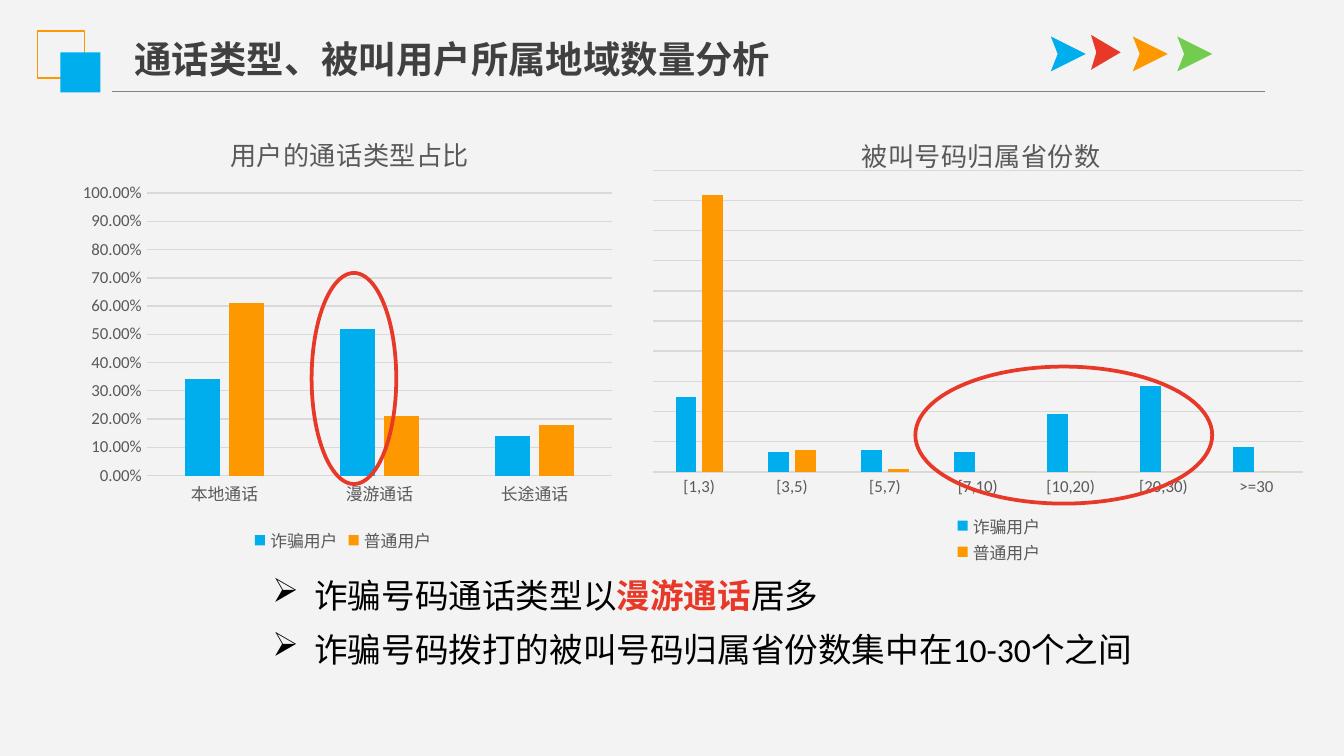
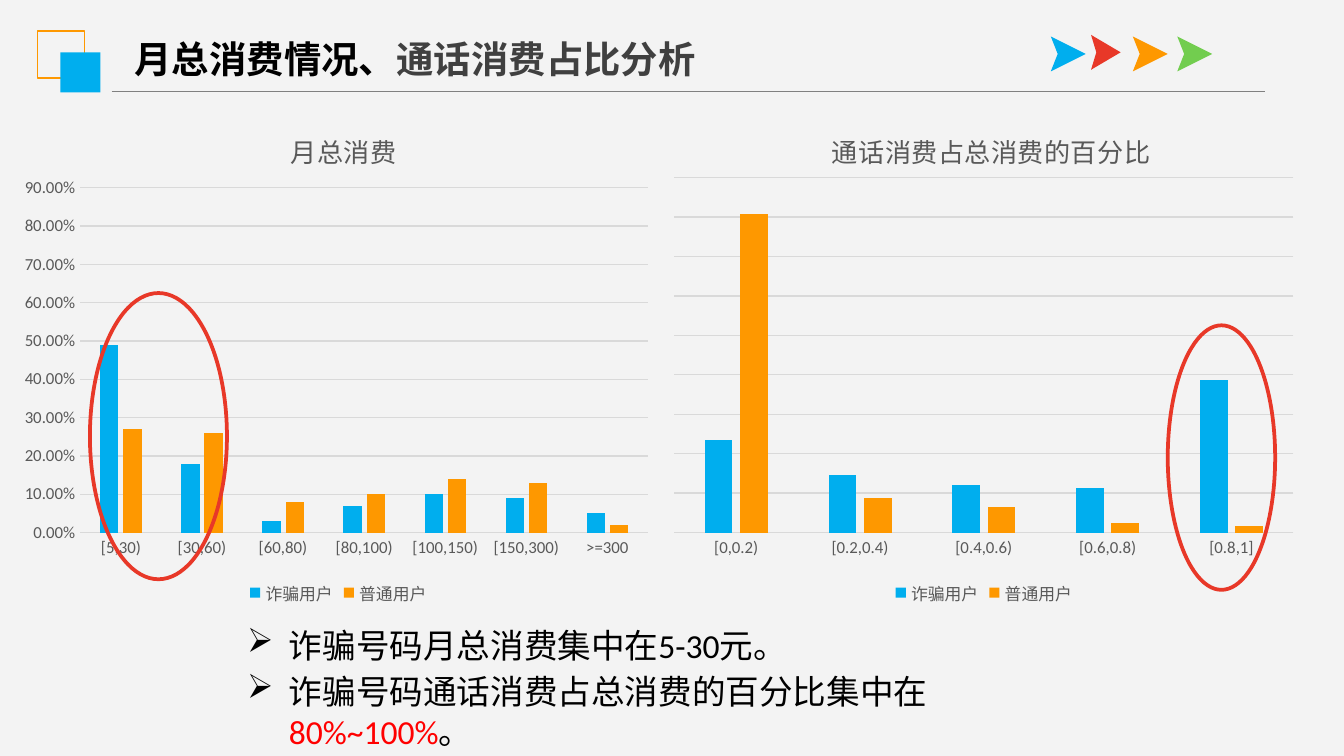
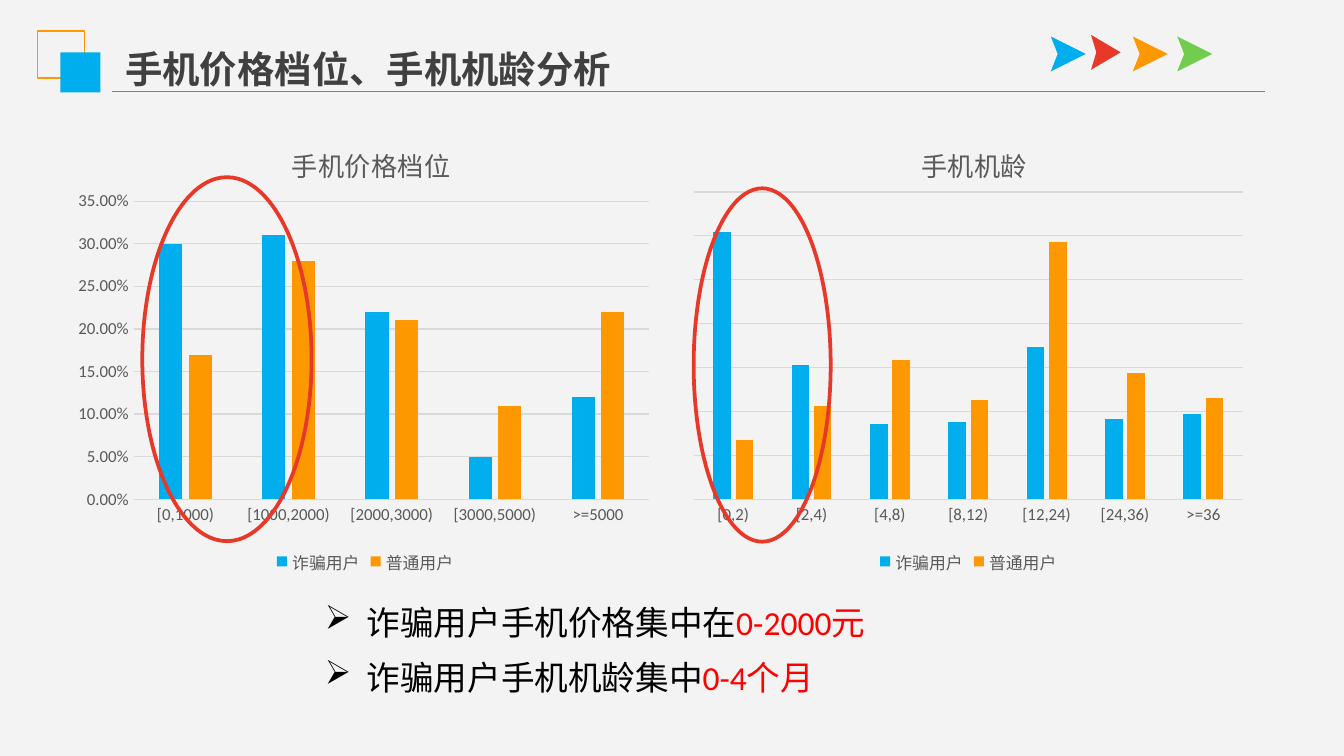
"""Build three slides that compare fraud callers with ordinary callers."""
from dataclasses import dataclass
from typing import Optional

from lxml import etree
from pptx import Presentation
from pptx import util as u
from pptx.chart.data import CategoryChartData
from pptx.dml.color import RGBColor
from pptx.enum import chart as ch, shapes, text
from pptx.oxml.ns import qn

PAPER = RGBColor(0xF3, 0xF3, 0xF3)
BLUE = RGBColor(0x00, 0xAE, 0xEE)
ORANGE = RGBColor(0xFE, 0x98, 0x00)
RED = RGBColor(0xE8, 0x38, 0x28)
GREEN = RGBColor(0x72, 0xCD, 0x4F)
BRIGHT_RED = RGBColor(0xFF, 0x00, 0x00)
BLACK = RGBColor(0x00, 0x00, 0x00)
HEADING = RGBColor(0x40, 0x40, 0x40)
LABEL = RGBColor(0x59, 0x59, 0x59)
RULE = RGBColor(0x80, 0x80, 0x80)
GRID = RGBColor(0xD9, 0xD9, 0xD9)
BODY_FONT = "Calibri"
TITLE_FONT = "Noto Sans CJK SC"
USERS = (("诈骗用户", BLUE), ("普通用户", ORANGE))


@dataclass(frozen=True)
class Box:
    """A rectangle in centimetres."""
    left: float
    top: float
    width: float
    height: float

    def lengths(self) -> tuple:
        """Return left, top, width and height as lengths."""
        return tuple(u.Cm(v) for v in (self.left, self.top, self.width, self.height))


@dataclass(frozen=True)
class Span:
    """A piece of text in one style."""
    words: str
    color: RGBColor = BLACK
    bold: bool = False


@dataclass(frozen=True)
class Arrow:
    """A notched arrowhead pointing right, in centimetres."""
    box: Box
    notch: float
    color: RGBColor


@dataclass(frozen=True)
class Comparison:
    """A column chart of both user groups, with its plot given in fractions."""
    title: str
    box: Box
    plot: tuple
    categories: tuple
    fraud: tuple
    ordinary: tuple
    step: float
    steps: int
    percent_axis: bool = False
    legend: Optional[tuple] = None


@dataclass(frozen=True)
class Finding:
    """A bulleted conclusion."""
    box: Box
    spans: tuple


@dataclass(frozen=True)
class Page:
    """All that differs between slides."""
    title_box: Box
    title: tuple
    comparisons: tuple
    findings: tuple
    highlights: tuple


ARROWS = (
    Arrow(Box(19.86, 0.69, 0.66, 0.66), 0.13, BLUE),
    Arrow(Box(20.62, 0.66, 0.56, 0.66), 0.1, RED),
    Arrow(Box(21.41, 0.69, 0.66, 0.66), 0.13, ORANGE),
    Arrow(Box(22.25, 0.69, 0.66, 0.66), 0.13, GREEN),
)

PAGES = (
    Page(
        Box(2.29, 0.56, 12.62, 1.96),
        (Span("通话类型、被叫用户所属地域数量分析", HEADING, True),),
        (
            Comparison("用户的通话类型占比", Box(1.19, 1.93, 10.59, 8.61),
                       (0.15, 0.2, 0.83, 0.62),
                       ("本地通话", "漫游通话", "长途通话"),
                       (0.34, 0.52, 0.14), (0.61, 0.21, 0.18), 0.1, 10, True),
            Comparison("被叫号码归属省份数", Box(11.81, 1.91, 13.21, 9.35),
                       (0.04, 0.14, 0.93, 0.61),
                       ("[1,3)", "[3,5)", "[5,7)", "[7,10)", "[10,20)", "[20,30)", ">=30"),
                       (27, 7, 8, 7, 21, 31, 9), (100, 8, 1, 0, 0, 0, 0), 10.9, 10,
                       legend=(0.47, 0.83, 0.13, 0.11)),
        ),
        (
            Finding(Box(4.9, 10.74, 14.4, 1.02),
                    (Span("诈骗号码通话类型以"), Span("漫游通话", RED, True), Span("居多"))),
            Finding(Box(4.9, 11.76, 16.92, 1.02),
                    (Span("诈骗号码拨打的被叫号码归属省份数集中在10-30个之间"),)),
        ),
        (Box(5.89, 5.16, 1.6, 3.99), Box(17.3, 6.93, 5.61, 2.59)),
    ),
    Page(
        Box(2.29, 0.56, 11.2, 1.96),
        (Span("月总消费情况、", BLACK, True), Span("通话消费占比分析", HEADING, True)),
        (
            Comparison("月总消费", Box(0.3, 1.8, 12.19, 9.73),
                       (0.1, 0.18, 0.88, 0.67),
                       ("[5,30)", "[30,60)", "[60,80)", "[80,100)", "[100,150)",
                        "[150,300)", ">=300"),
                       (0.49, 0.18, 0.03, 0.07, 0.1, 0.09, 0.05),
                       (0.27, 0.26, 0.08, 0.1, 0.14, 0.13, 0.02), 0.1, 9, True),
            Comparison("通话消费占总消费的百分比", Box(12.5, 1.8, 12.19, 9.73),
                       (0.02, 0.16, 0.96, 0.69),
                       ("[0,0.2)", "[0.2,0.4)", "[0.4,0.6)", "[0.6,0.8)", "[0.8,1]"),
                       (29, 18, 15, 14, 48), (100, 11, 8, 3, 2), 12.4, 9),
        ),
        (
            Finding(Box(4.42, 11.68, 11.2, 1.02), (Span("诈骗号码月总消费集中在5-30元。"),)),
            Finding(Box(4.42, 12.55, 16.8, 1.02),
                    (Span("诈骗号码通话消费占总消费的百分比集中在"),
                     Span("80%~100%", BRIGHT_RED), Span("。"))),
        ),
        (Box(1.7, 5.54, 2.59, 5.41), Box(22.07, 6.15, 2.03, 5)),
    ),
    Page(
        Box(2.11, 0.74, 9.78, 1.12),
        (Span("手机价格档位、手机机龄分析", HEADING, True),),
        (
            Comparison("手机价格档位", Box(1.3, 2.13, 11.2, 8.81),
                       (0.11, 0.19, 0.87, 0.64),
                       ("[0,1000)", "[1000,2000)", "[2000,3000)", "[3000,5000)", ">=5000"),
                       (0.3, 0.31, 0.22, 0.05, 0.12),
                       (0.17, 0.28, 0.21, 0.11, 0.22), 0.05, 7, True),
            Comparison("手机机龄", Box(12.9, 2.13, 10.8, 8.81),
                       (0.02, 0.17, 0.96, 0.66),
                       ("[0,2)", "[2,4)", "[4,8)", "[8,12)", "[12,24)", "[24,36)", ">=36"),
                       (100, 50, 28, 29, 57, 30, 32), (22, 35, 52, 37, 96, 47, 38), 16.4, 7),
        ),
        (
            Finding(Box(5.89, 11.25, 16.2, 1.02),
                    (Span("诈骗用户手机价格集中在"), Span("0-2000元", BRIGHT_RED))),
            Finding(Box(5.89, 12.29, 12.01, 1.02),
                    (Span("诈骗用户手机机龄集中"), Span("0-4个月", BRIGHT_RED))),
        ),
        (Box(2.69, 3.35, 3.2, 6.88), Box(13.11, 3.56, 2.59, 6.68)),
    ),
)


def style_font(font, size: float, color: RGBColor, bold: bool = False,
               name: str = BODY_FONT) -> None:
    """Set the size, colour, weight and face of a font."""
    font.size = u.Pt(size)
    font.color.rgb = color
    font.bold = bold
    font.name = name


def write_spans(paragraph, spans: tuple, size: float, face: str) -> None:
    """Write styled spans into a paragraph."""
    for span in spans:
        run = paragraph.add_run()
        run.text = span.words
        style_font(run.font, size, span.color, span.bold, face)
        if face == TITLE_FONT:
            etree.SubElement(run.font._element, qn("a:ea")).set("typeface", face)


def add_figure(slide, kind, box: Box, fill: Optional[RGBColor] = None,
               outline: Optional[RGBColor] = None, weight: float = 1) -> None:
    """Add a preset shape, filled or outlined."""
    figure = slide.shapes.add_shape(kind, *box.lengths())
    paint(figure, fill, outline, weight)


def paint(figure, fill: Optional[RGBColor], outline: Optional[RGBColor] = None,
          weight: float = 1) -> None:
    """Set the fill and outline of a shape and drop its shadow."""
    figure.shadow.inherit = False
    if fill is None:
        figure.fill.background()
    else:
        figure.fill.solid()
        figure.fill.fore_color.rgb = fill
    if outline is None:
        figure.line.fill.background()
    else:
        figure.line.color.rgb = outline
        figure.line.width = u.Pt(weight)


def add_arrow(slide, arrow: Arrow) -> None:
    """Draw a notched arrowhead."""
    left, top, width, height = arrow.box.lengths()
    middle, bottom = top + height // 2, top + height
    outline = slide.shapes.build_freeform(left, top)
    outline.add_line_segments(
        [(left + width, middle), (left, bottom), (left + u.Cm(arrow.notch), middle)])
    paint(outline.convert_to_shape(), arrow.color)


def add_header(slide, page: Page) -> None:
    """Draw the title, its rule, the squares and the arrowheads."""
    title = slide.shapes.title
    title.left, title.top, title.width, title.height = page.title_box.lengths()
    frame = title.text_frame
    frame.word_wrap = True
    frame.auto_size = text.MSO_AUTO_SIZE.NONE
    frame.vertical_anchor = text.MSO_ANCHOR.TOP
    frame.paragraphs[0].alignment = text.PP_ALIGN.LEFT
    write_spans(frame.paragraphs[0], page.title, 20, TITLE_FONT)
    rule = slide.shapes.add_connector(
        shapes.MSO_CONNECTOR.STRAIGHT, u.Cm(2.11), u.Cm(1.73), u.Cm(23.9), u.Cm(1.73))
    rule.line.color.rgb = RULE
    rule.line.width = u.Pt(0.75)
    etree.SubElement(rule._element.spPr, qn("a:effectLst"))
    square = shapes.MSO_SHAPE.RECTANGLE
    add_figure(slide, square, Box(0.71, 0.58, 0.89, 0.89), outline=ORANGE)
    add_figure(slide, square, Box(1.14, 0.99, 0.76, 0.76), fill=BLUE)
    for arrow in ARROWS:
        add_arrow(slide, arrow)


def place_part(part, inner: bool = False, **fractions: float) -> None:
    """Give a chart part a manual layout."""
    for old in part.findall(qn("c:layout")):
        part.remove(old)
    layout = etree.Element(qn("c:layout"))
    manual = etree.SubElement(layout, qn("c:manualLayout"))
    settings = {"layoutTarget": "inner"} if inner else {}
    settings.update({"xMode": "edge", "yMode": "edge"})
    settings.update(fractions)
    for tag, value in settings.items():
        etree.SubElement(manual, qn(f"c:{tag}")).set("val", str(value))
    overlay = part.find(qn("c:overlay"))
    if overlay is None:
        part.insert(0, layout)
    else:
        overlay.addprevious(layout)


def clear_backgrounds(chart) -> None:
    """Make the chart and its plot area transparent."""
    body = chart.element.find(qn("c:chart"))
    surface = etree.Element(qn("c:spPr"))
    body.addnext(surface)
    plot_surface = etree.SubElement(body.find(qn("c:plotArea")), qn("c:spPr"))
    for properties in (surface, plot_surface):
        etree.SubElement(properties, qn("a:noFill"))
        etree.SubElement(etree.SubElement(properties, qn("a:ln")), qn("a:noFill"))


def style_axes(chart, comparison: Comparison) -> None:
    """Format the category and value axes."""
    groups, values = chart.category_axis, chart.value_axis
    groups.major_tick_mark = ch.XL_TICK_MARK.NONE
    groups.format.line.color.rgb = GRID
    groups.format.line.width = u.Pt(0.75)
    style_font(groups.tick_labels.font, 9, LABEL)
    values.minimum_scale = 0
    values.maximum_scale = round(comparison.step * comparison.steps, 2)
    values.major_unit = comparison.step
    values.major_tick_mark = ch.XL_TICK_MARK.NONE
    values.has_major_gridlines = True
    values.major_gridlines.format.line.color.rgb = GRID
    values.major_gridlines.format.line.width = u.Pt(0.75)
    values.visible = comparison.percent_axis
    if comparison.percent_axis:
        values.format.line.fill.background()
        values.tick_labels.number_format = "0.00%"
        values.tick_labels.number_format_is_linked = False
        style_font(values.tick_labels.font, 9, LABEL)


def add_comparison(slide, comparison: Comparison) -> None:
    """Draw a column chart for both user groups."""
    data = CategoryChartData()
    data.categories = comparison.categories
    for (user, _), values in zip(USERS, (comparison.fraud, comparison.ordinary)):
        data.add_series(user, values)
    chart = slide.shapes.add_chart(
        ch.XL_CHART_TYPE.COLUMN_CLUSTERED, *comparison.box.lengths(), data).chart
    style_font(chart.font, 10, BLACK)
    columns = chart.plots[0]
    columns.gap_width, columns.overlap = 219, -27
    columns.vary_by_categories = False
    for series, (_, color) in zip(columns.series, USERS):
        series.format.fill.solid()
        series.format.fill.fore_color.rgb = color
    style_axes(chart, comparison)

    chart.has_title = True
    caption = chart.chart_title.text_frame
    caption.text = comparison.title
    style_font(caption.paragraphs[0].runs[0].font, 14, LABEL)
    chart.has_legend = True
    chart.legend.position = ch.XL_LEGEND_POSITION.BOTTOM
    chart.legend.include_in_layout = False
    style_font(chart.legend.font, 9, LABEL)

    body = chart.element.find(qn("c:chart"))
    caption_share = len(comparison.title) * u.Pt(14) / u.Cm(comparison.box.width)
    place_part(body.find(qn("c:title")), x=round((1 - caption_share) / 2, 3), y=0.055)
    place_part(body.find(qn("c:plotArea")), True, **dict(zip("xywh", comparison.plot)))
    if comparison.legend:
        place_part(body.find(qn("c:legend")), **dict(zip("xywh", comparison.legend)))
    clear_backgrounds(chart)


def add_finding(slide, finding: Finding) -> None:
    """Write a bulleted conclusion."""
    frame = slide.shapes.add_textbox(*finding.box.lengths()).text_frame
    frame.word_wrap = True
    paragraph = frame.paragraphs[0]
    properties = paragraph._p.get_or_add_pPr()
    indent = u.Cm(0.79)
    properties.set("marL", str(indent))
    properties.set("indent", str(-indent))
    etree.SubElement(properties, qn("a:buChar")).set("char", "➢")
    write_spans(paragraph, finding.spans, 18, BODY_FONT)


def main() -> None:
    """Build and save the deck."""
    deck = Presentation()
    deck.slide_width, deck.slide_height = u.Cm(25.4), u.Cm(14.29)
    backdrop = deck.slide_master.background.fill
    backdrop.solid()
    backdrop.fore_color.rgb = PAPER
    title_only = deck.slide_layouts[5]
    for page in PAGES:
        slide = deck.slides.add_slide(title_only)
        add_header(slide, page)
        for comparison in page.comparisons:
            add_comparison(slide, comparison)
        for finding in page.findings:
            add_finding(slide, finding)
        for highlight in page.highlights:
            add_figure(slide, shapes.MSO_SHAPE.OVAL, highlight, outline=RED, weight=2)
    deck.save("out.pptx")


if __name__ == "__main__":
    main()
